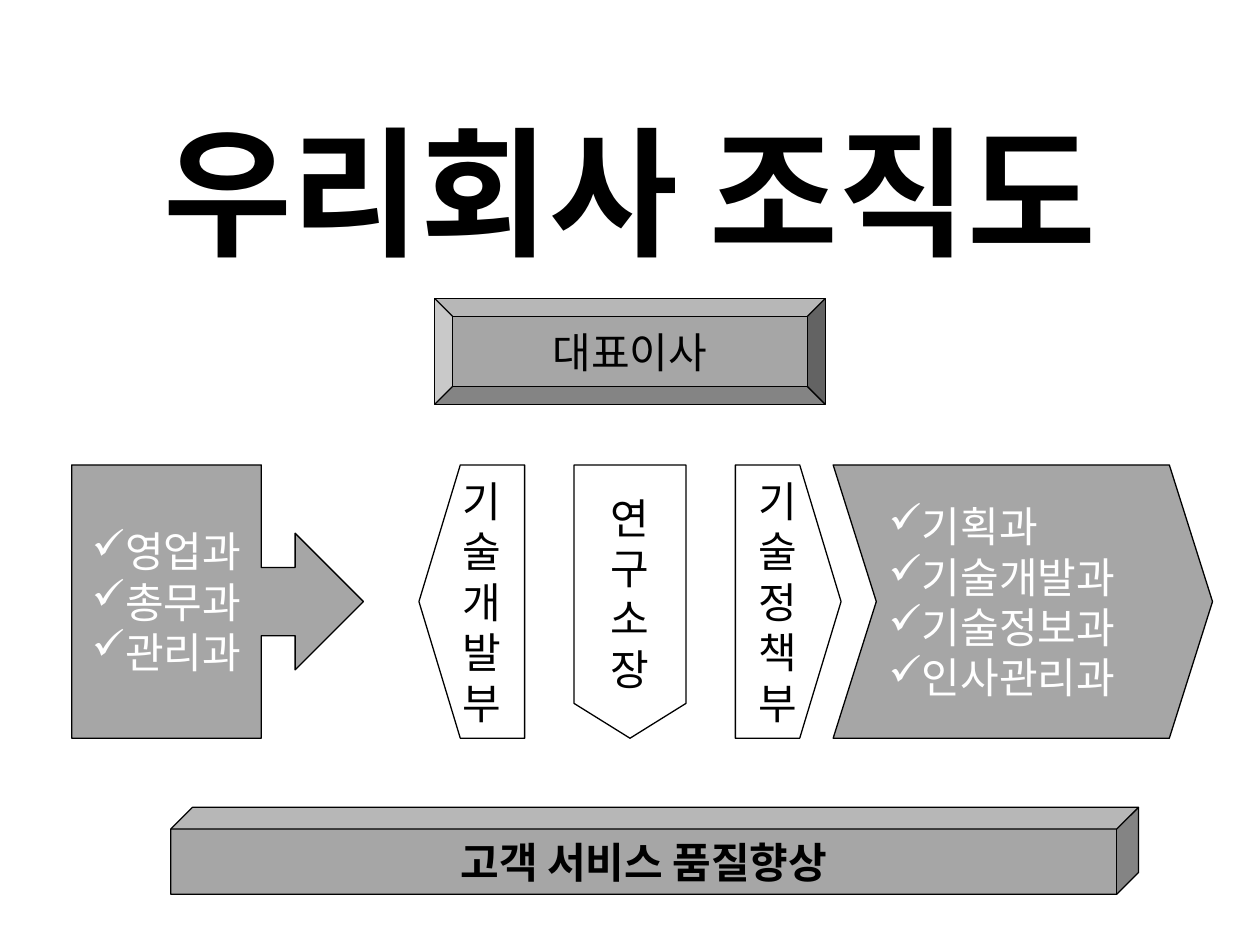
"""Build a one-page company organisation chart."""
from lxml import etree
from pptx import Presentation
from pptx.dml.color import RGBColor
from pptx.enum import shapes, text
from pptx.oxml import ns
from pptx.util import Pt

BLACK = RGBColor(0, 0, 0)
WHITE = RGBColor(255, 255, 255)
GREY = RGBColor(0xA6, 0xA6, 0xA6)
FONT = "Noto Sans CJK KR"
KIND = shapes.MSO_SHAPE
CENTER, LEFT = text.PP_ALIGN.CENTER, text.PP_ALIGN.LEFT
ROW_TOP, ROW_HEIGHT = 265.7, 156.2
LINE_PITCH = 28.8

TITLE = dict(lines=["우리회사 조직도"], at=(36, 63.4, 648, 90), size=80, bold=True)
PARTS = [
    dict(kind=KIND.BEVEL, lines=["대표이사"], at=(248.4, 170.6, 223.2, 60.5),
         adjust=0.168, fill=GREY),
    dict(kind=KIND.CUBE, lines=["고객 서비스 품질향상"], at=(97.6, 461.3, 553, 49.7),
         fill=GREY, bold=True),
    dict(kind=KIND.RIGHT_ARROW_CALLOUT, lines=["영업과", "총무과", "관리과"],
         row=(41, 166.7), fill=GREY, color=WHITE, bullet="✓"),
    dict(kind=KIND.CHEVRON, lines=["기획과", "기술개발과", "기술정보과", "인사관리과"],
         row=(476.1, 216.8), adjust=0.158, fill=GREY, color=WHITE, bullet="✓", align=LEFT),
    dict(kind=KIND.PENTAGON, lines=list("연구소장"), row=(328, 64), adjust=0.311,
         turned=True),
    dict(kind=KIND.PENTAGON, lines=["기술정책부"], row=(420.2, 60.4), adjust=0.391,
         stacked=True),
    dict(kind=KIND.PENTAGON, lines=["기술개발부"], row=(239.4, 60.4), adjust=0.391,
         stacked=True, flipped=True),
]


def place(part):
    """Return left, top, width and height before any rotation."""
    if "at" in part:
        return part["at"]
    left, width = part["row"]
    if part.get("turned"):
        shift = (ROW_HEIGHT - width) / 2
        return left - shift, ROW_TOP + shift, ROW_HEIGHT, width
    return left, ROW_TOP, width, ROW_HEIGHT


def write(box, part):
    """Fill the text frame of a box from its part."""
    frame = box.text_frame
    frame.word_wrap = True
    frame.vertical_anchor = text.MSO_ANCHOR.MIDDLE
    pitched = part.get("stacked") or len(part["lines"]) > 1
    for index, line in enumerate(part["lines"]):
        para = frame.paragraphs[0] if index == 0 else frame.add_paragraph()
        para.alignment = part.get("align", CENTER)
        if pitched:
            para.line_spacing = Pt(LINE_PITCH)
        if "bullet" in part:
            bullet = etree.SubElement(para._p.get_or_add_pPr(), ns.qn("a:buChar"))
            bullet.set("char", part["bullet"])
        span = para.add_run()
        span.text = line
        formats = dict(name=FONT, size=Pt(part.get("size", 24)), bold=part.get("bold", False))
        for key, value in formats.items():
            setattr(span.font, key, value)
        span.font.color.rgb = part.get("color", BLACK)
        east = etree.SubElement(span._r.get_or_add_rPr(), ns.qn("a:ea"))
        east.set("typeface", FONT)


def draw(page, part):
    """Add one preset shape with its text."""
    box = page.shapes.add_shape(part["kind"], *map(Pt, place(part)))
    box.shadow.inherit = False
    box.fill.solid()
    box.fill.fore_color.rgb = part.get("fill", WHITE)
    box.line.color.rgb = BLACK
    box.line.width = Pt(0.75)
    if "adjust" in part:
        box.adjustments[0] = part["adjust"]
    if part.get("flipped"):
        box._element.spPr.find(ns.qn("a:xfrm")).set("flipH", "1")
    write(box, part)
    if part.get("turned"):
        box.rotation = 90
        box.text_frame._txBody.bodyPr.set("vert", "vert270")


deck = Presentation()
deck.slide_width, deck.slide_height = Pt(720), Pt(540)
page = deck.slides.add_slide(deck.slide_layouts[6])
write(page.shapes.add_textbox(*map(Pt, TITLE["at"])), TITLE)
for part in PARTS:
    draw(page, part)
deck.save("out.pptx")
